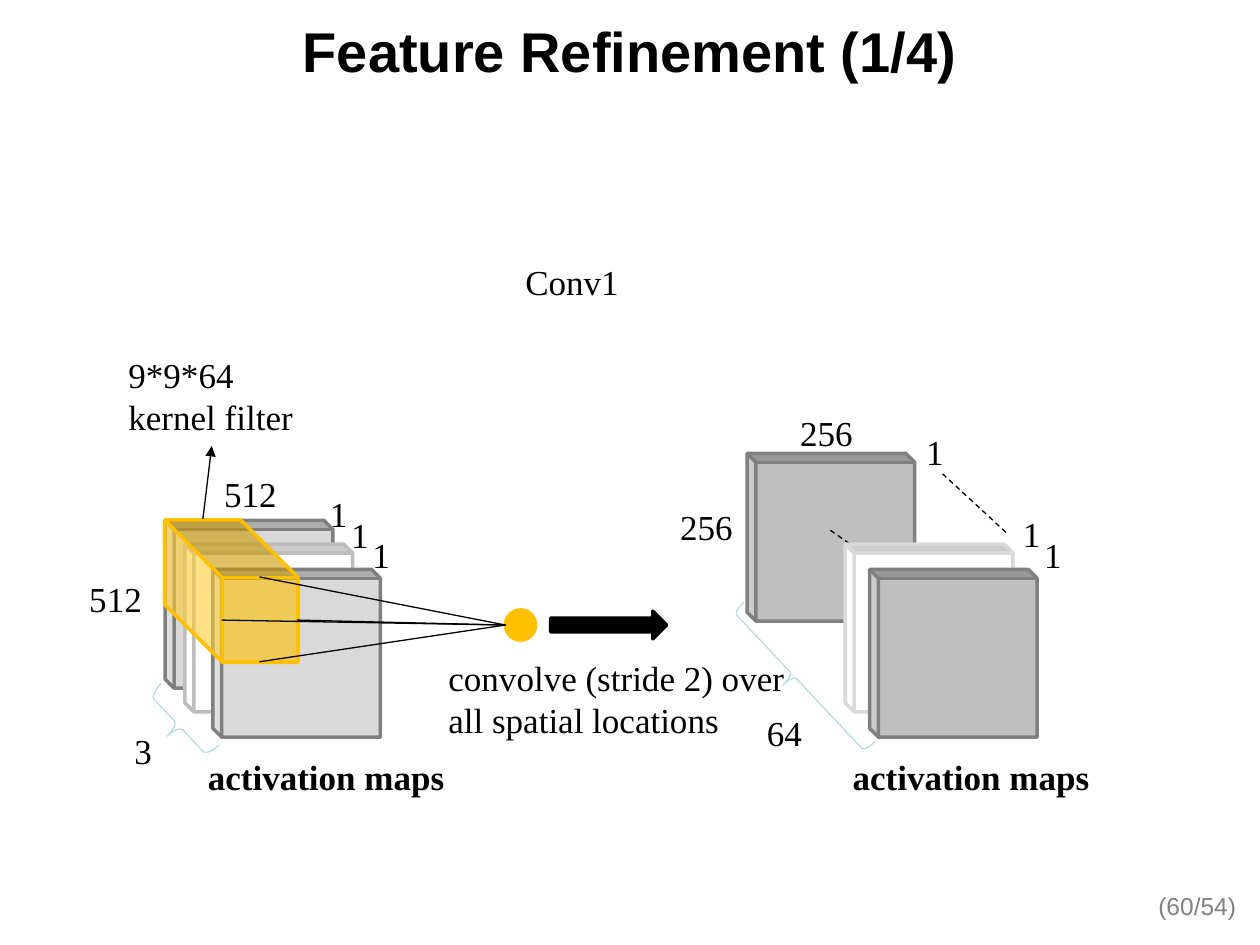
from dataclasses import dataclass

from lxml import etree
from pptx import Presentation
from pptx.dml.color import RGBColor
from pptx.enum.dml import MSO_LINE
from pptx.enum.shapes import MSO_CONNECTOR, MSO_SHAPE
from pptx.enum.text import MSO_ANCHOR, PP_ALIGN
from pptx.oxml.ns import qn
from pptx.util import Cm, Pt

CUBE, BRACE = MSO_SHAPE.CUBE, MSO_SHAPE.LEFT_BRACE
OVAL, ARROW = MSO_SHAPE.OVAL, MSO_SHAPE.RIGHT_ARROW
LINE, DASH = MSO_CONNECTOR.STRAIGHT, MSO_LINE.DASH
LEFT, MID, RIGHT = PP_ALIGN.LEFT, PP_ALIGN.CENTER, PP_ALIGN.RIGHT
TOP, CENTER = MSO_ANCHOR.TOP, MSO_ANCHOR.MIDDLE


@dataclass(frozen=True)
class Theme:
    head: str = "Arial"
    body: str = "Times New Roman"
    ink: str = "000000"
    mute: str = "808080"
    dark: str = "BFBFBF"
    light: str = "D9D9D9"
    rim: str = "BDBDBD"
    white: str = "FFFFFF"
    gold: str = "FFC000"
    brace: str = "B6DCDF"
    title: int = 32
    text: int = 20
    page: int = 14
    thick: float = 2
    thin: float = 0.75


T = Theme()

SIDE = 3.38
BACK = [(15.06, 9.14, T.dark, T.mute), (3.33, 10.49, T.light, T.mute)]
FRONT = [
    (17.04, 10.97, T.white, T.light),
    (17.53, 11.48, T.dark, T.mute),
    (3.73, 10.97, T.white, T.rim),
    (4.29, 11.48, T.light, T.mute),
]
BRACES = [
    ((15.82, 11.81, 0.58, 3.86), (0.143, 0.545)),
    ((3.28, 13.77, 0.64, 1.7), (0.2, 0.5)),
]
INNER = ((16.74, 10.69), (17.37, 11.13))
OUTER = ((19, 9.55), (20.32, 10.77))
CALL = ((4.09, 10.46), (4.27, 8.99))
FOCUS = (10.19, 12.6)
RAYS = [(5.23, 11.63), (5.23, 13.34), (5.99, 12.5), (4.47, 12.5)]
DOT = 0.61

ROW, ROWS = 1.12, 1.96
LABELS = [
    ("256", 15.88, 8.18, 1.57),
    ("256", 13.46, 10.06, 1.57),
    ("1", 18.42, 8.56, 0.86),
    ("1", 20.37, 10.21, 0.86),
    ("1", 20.8, 10.64, 0.86),
    ("64", 15.21, 14.22, 1.22),
    ("1", 6.4, 9.8, 0.86),
    ("1", 6.83, 10.22, 0.86),
    ("1", 7.26, 10.64, 0.86),
    ("512", 4.27, 9.4, 1.57),
    ("512", 1.55, 11.51, 1.57),
    ("3", 2.46, 14.58, 0.86),
    ("Conv1", 10.34, 5.13, 2.41),
]
NOTES = [
    ("9*9*64\nkernel filter", 2.34, 7.01, 3.84),
    ("convolve (stride 2) over\nall spatial locations", 8.79, 13.11, 7.49),
]
NAMES = [("activation maps", x, 15.11, 5.31) for x in (3.94, 16.94)]

deck = Presentation()
deck.slide_width, deck.slide_height = Cm(25.4), Cm(19.05)
slide = deck.slides.add_slide(deck.slide_layouts[6])
shapes = slide.shapes


def write(text, x, y, w, h=ROW, size=T.text, font=T.body, color=T.ink,
          bold=False, align=LEFT, anchor=TOP, wrap=False):
    frame = shapes.add_textbox(Cm(x), Cm(y), Cm(w), Cm(h)).text_frame
    frame.word_wrap = wrap
    frame.vertical_anchor = anchor
    frame.text = text
    for para in frame.paragraphs:
        para.alignment = align
        para.font.size = Pt(size)
        para.font.name = font
        para.font.bold = bold
        para.font.color.rgb = RGBColor.from_string(color)


def draw(kind, box, fill, edge, width=T.thick, turn=0, adjust=(), alpha=None):
    shape = shapes.add_shape(kind, *map(Cm, box))
    shape.shadow.inherit = False
    shape.rotation = turn
    for i, value in enumerate(adjust):
        shape.adjustments[i] = value
    if fill:
        shape.fill.solid()
        shape.fill.fore_color.rgb = RGBColor.from_string(fill)
    else:
        shape.fill.background()
    if alpha:
        tint = shape.fill._xPr.find(".//" + qn("a:srgbClr"))
        etree.SubElement(tint, qn("a:alpha"), val=str(alpha * 1000))
    shape.line.color.rgb = RGBColor.from_string(edge)
    shape.line.width = Pt(width)
    return shape


def stack(maps):
    for x, y, fill, edge in maps:
        draw(CUBE, (x, y, SIDE, SIDE), fill, edge, turn=270, adjust=[0.053])


def link(start, end, dash=None, tip=False):
    line = shapes.add_connector(LINE, *map(Cm, start + end))
    line.line.color.rgb = RGBColor.from_string(T.ink)
    line.line.width = Pt(T.thin)
    if dash:
        line.line.dash_style = dash
    if tip:
        etree.SubElement(line.line._get_or_add_ln(), qn("a:tailEnd"), type="triangle")
    etree.SubElement(line._element.spPr, qn("a:effectLst"))


write("(60/54)", 22.91, 17.6, 2.26, 1.32, size=T.page, font=T.head,
      color=T.mute, align=RIGHT, anchor=CENTER, wrap=True)
write("Feature Refinement (1/4)", 0, 0, 25.4, 2.01, size=T.title, font=T.head,
      bold=True, align=MID, anchor=CENTER, wrap=True)

stack(BACK)
link(*INNER, dash=DASH)
stack(FRONT)
link(*OUTER, dash=DASH)
for box, bend in BRACES:
    brace = draw(BRACE, box, None, T.brace, T.thin, turn=136.8, adjust=bend)
    brace._element.spPr.xfrm.set("flipH", "1")

draw(CUBE, (3.23, 10.57, 2.87, 2.69), T.gold, T.gold, turn=270,
     adjust=[0.432], alpha=60)
draw(OVAL, (FOCUS[0], FOCUS[1] - DOT / 2, DOT, DOT), T.gold, T.gold)
for start in RAYS:
    link(start, FOCUS)
link(*CALL, tip=True)
draw(ARROW, (11.1, 12.32, 2.34, 0.56), T.ink, T.ink)

for label in LABELS:
    write(*label)
for note in NOTES:
    write(*note, h=ROWS)
for name in NAMES:
    write(*name, bold=True)

deck.save("out.pptx")
